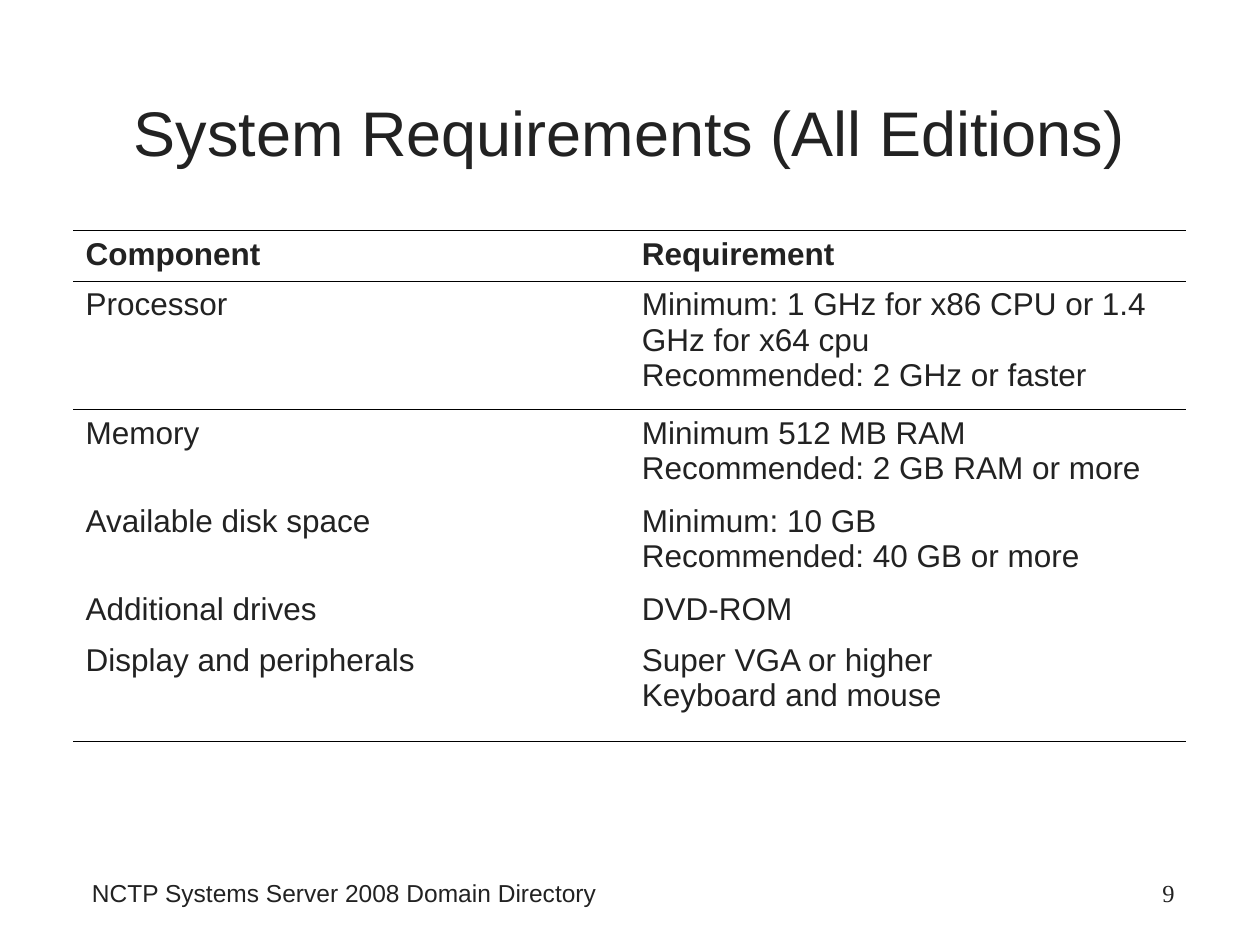
from lxml.etree import SubElement
from pptx import Presentation
from pptx.dml.color import RGBColor
from pptx.enum.text import MSO_ANCHOR as Anchor, PP_ALIGN as Align
from pptx.oxml.ns import qn
from pptx.util import Inches, Pt

WIDE, HIGH = 10, 7.5
LEFT, SPAN = 0.58, 8.83
INK, RULE = "222222", "000000"
PLAIN = "{2D5ABB26-0587-4C30-8999-92F81FD0307C}"  # no style, no grid
ROWS = [
    (0.4, "Component", "Requirement"),
    (1.02, "Processor", "Minimum: 1 GHz for x86 CPU or 1.4 GHz for x64 cpu\v"
                        "Recommended: 2 GHz or faster"),
    (0.7, "Memory", "Minimum 512 MB RAM\vRecommended: 2 GB RAM or more"),
    (0.7, "Available disk space", "Minimum: 10 GB\vRecommended: 40 GB or more"),
    (0.4, "Additional drives", "DVD-ROM"),
    (0.83, "Display and peripherals", "Super VGA or higher\vKeyboard and mouse"),
]


def color(code):
    return RGBColor.from_string(code)


def write(frame, text, align=Align.LEFT, **form):
    """Fill a text frame with one paragraph in one format."""
    frame.text = text
    para = frame.paragraphs[0]
    para.alignment = align
    for run in para.runs:
        for name, value in ({"name": "Arial", "bold": False} | form).items():
            setattr(run.font, name, value)
        run.font.color.rgb = color(INK)


def place(shape, left, top, width, height):
    box = {"left": left, "top": top, "width": width, "height": height}
    for name, value in box.items():
        setattr(shape, name, Inches(value))


def add_title(slide, text):
    title = slide.shapes.title
    place(title, LEFT, 0.42, SPAN, 1.25)
    title.text_frame.vertical_anchor = Anchor.MIDDLE
    write(title.text_frame, text, Align.CENTER, size=Pt(36))


def add_note(slide, left, width, text, inset=0.1, **form):
    """Add a text box on the footer line."""
    box = slide.shapes.add_textbox(0, 0, 0, 0)
    place(box, left, 6.92, width, 0.42)
    frame = box.text_frame
    frame.word_wrap = True
    frame.margin_left = Inches(inset)
    write(frame, text, size=Pt(14), **form)


def add_rule(cell, side):
    line = SubElement(cell._tc.get_or_add_tcPr(), qn(f"a:ln{side}"),
                      w=str(Pt(0.45)))
    fill = SubElement(line, qn("a:solidFill"))
    SubElement(fill, qn("a:srgbClr"), val=RULE)


def add_grid(slide, rows):
    count = len(rows)
    height = sum(row[0] for row in rows)
    table = slide.shapes.add_table(
        count, 2, Inches(LEFT), Inches(1.83), Inches(SPAN), Inches(height)).table
    table.first_row = table.horz_banding = False
    table._tbl.tblPr.find(qn("a:tableStyleId")).text = PLAIN
    for r, (tall, *texts) in enumerate(rows):
        table.rows[r].height = Inches(tall)
        for c, text in enumerate(texts):
            cell = table.cell(r, c)
            write(cell.text_frame, text, size=Pt(18), bold=r == 0)
            if r in (0, 1):
                add_rule(cell, "T")
            if r in (0, count - 1):
                add_rule(cell, "B")
            cell.fill.background()


def main():
    deck = Presentation()
    deck.slide_width, deck.slide_height = Inches(WIDE), Inches(HIGH)
    slide = deck.slides.add_slide(deck.slide_layouts[5])
    slide.background.fill.solid()
    slide.background.fill.fore_color.rgb = color("FFFFFF")
    add_note(slide, LEFT, 6.67, "NCTP Systems Server 2008 Domain Directory",
             inset=0.15)
    add_note(slide, 7.17, 2.25, "9", align=Align.RIGHT, name="Times New Roman")
    add_title(slide, "System Requirements (All Editions)")
    add_grid(slide, ROWS)
    deck.save("out.pptx")


if __name__ == "__main__":
    main()
